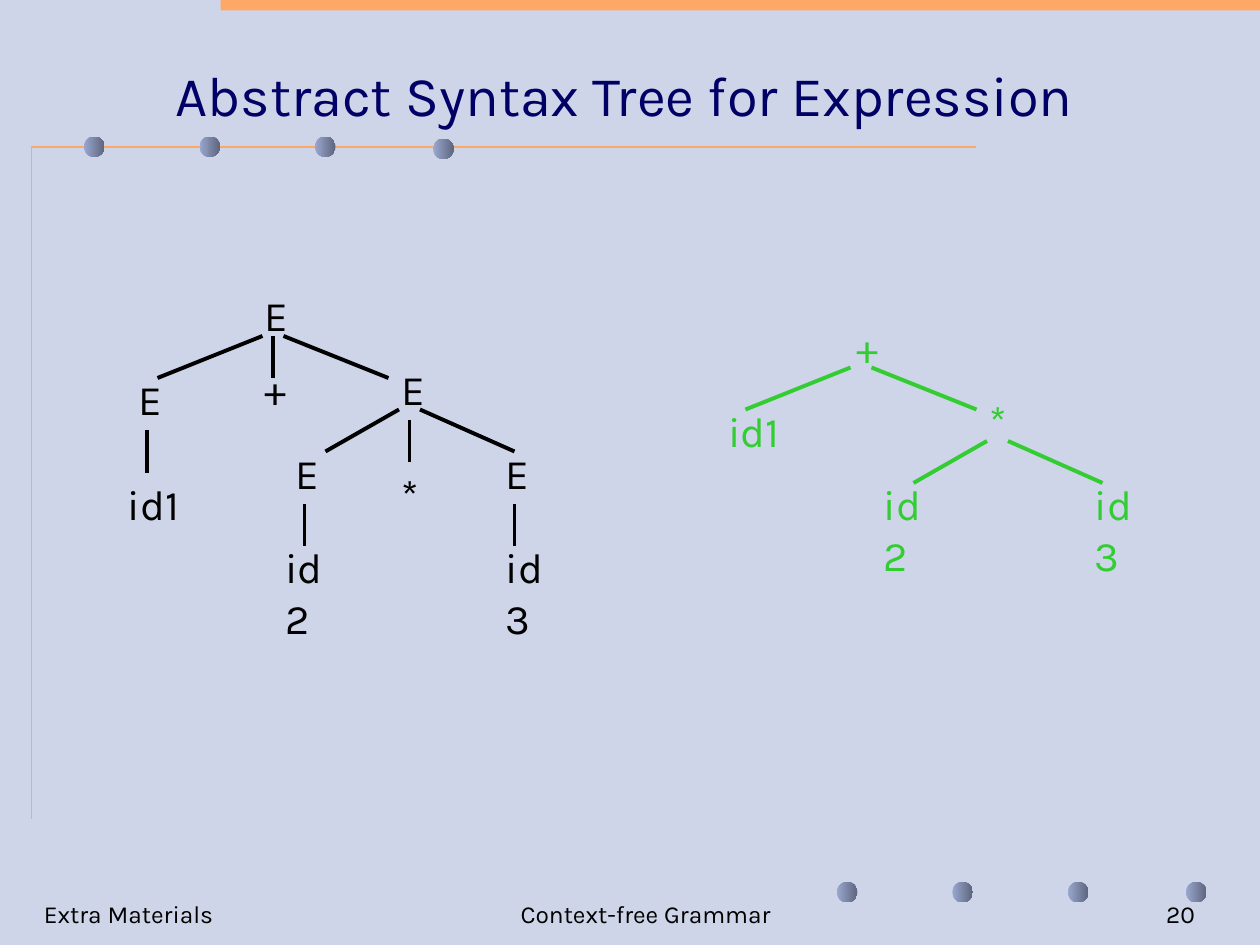
from dataclasses import dataclass

from lxml import etree
from pptx import Presentation
from pptx.dml.color import RGBColor
from pptx.enum.shapes import MSO_CONNECTOR, MSO_SHAPE
from pptx.enum.text import MSO_ANCHOR, MSO_AUTO_SIZE, PP_ALIGN
from pptx.oxml.ns import qn
from pptx.util import Inches, Pt

RECT, OVAL = MSO_SHAPE.RECTANGLE, MSO_SHAPE.OVAL
STRAIGHT = MSO_CONNECTOR.STRAIGHT
LEFT, CENTER, RIGHT = PP_ALIGN.LEFT, PP_ALIGN.CENTER, PP_ALIGN.RIGHT
TOP, MIDDLE, BOTTOM = MSO_ANCHOR.TOP, MSO_ANCHOR.MIDDLE, MSO_ANCHOR.BOTTOM
FIXED, GROW = MSO_AUTO_SIZE.NONE, MSO_AUTO_SIZE.SHAPE_TO_FIT_TEXT


@dataclass(frozen=True)
class Theme:
    font: str = "Karla"
    back: str = "CED5E8"
    accent: str = "FEA868"
    dot: tuple = ("9AA8D0", "5E667E")
    title: str = "000066"
    text: str = "000000"
    syntax: str = "33CC33"
    title_size: int = 32
    node_size: int = 24
    footer_size: int = 14
    rule_width: float = 0.75
    edge_width: float = 2.25


def rgb(value):
    return RGBColor.from_string(value)


def grid(*cells):
    """Turn columns and rows of a 120 by 90 grid into lengths."""
    return [Inches(cell / 12) for cell in cells]


class Deck:
    EDGE_ROWS = 4
    NODE_ROWS = 6

    def __init__(self, theme):
        self.theme = theme
        self.prs = Presentation()
        self.prs.slide_width, self.prs.slide_height = grid(120, 90)
        self.s = self.prs.slides.add_slide(self.prs.slide_layouts[5])
        fill = self.s.background.fill
        fill.solid()
        fill.fore_color.rgb = rgb(theme.back)

    def set_text(self, sp, text, size, color, align=LEFT, anchor=TOP, auto_size=FIXED):
        tf = sp.text_frame
        tf.text = text
        frame = {"word_wrap": True, "auto_size": auto_size, "vertical_anchor": anchor}
        for name, value in frame.items():
            setattr(tf, name, value)
        p = tf.paragraphs[0]
        p.alignment = align
        font = p.runs[0].font
        for name, value in {"name": self.theme.font, "size": Pt(size)}.items():
            setattr(font, name, value)
        font.color.rgb = rgb(color)

    def title(self, text, *box):
        sp = self.s.shapes.title
        sp.left, sp.top, sp.width, sp.height = grid(*box)
        self.set_text(sp, text, self.theme.title_size, self.theme.title, CENTER, MIDDLE)

    def footer(self, text, left, width, align):
        sp = self.s.shapes.add_textbox(*grid(left, 86, width, 3))
        self.set_text(sp, text, self.theme.footer_size, self.theme.text, align, BOTTOM)

    def shape(self, kind, *box):
        sp = self.s.shapes.add_shape(kind, *grid(*box))
        sp.shadow.inherit = False
        sp.line.fill.background()
        return sp

    def bar(self, *box):
        fill = self.shape(RECT, *box).fill
        fill.solid()
        fill.fore_color.rgb = rgb(self.theme.accent)

    def dot(self, left, top):
        fill = self.shape(OVAL, left, top, 1.95, 1.95).fill
        fill.gradient()
        fill.gradient_angle = 0
        for stop, color in zip(fill.gradient_stops, self.theme.dot):
            stop.color.rgb = rgb(color)

    def rule(self, start, *points):
        builder = self.s.shapes.build_freeform(*grid(*start))
        builder.add_line_segments([grid(*point) for point in points], close=False)
        sp = builder.convert_to_shape()
        sp.shadow.inherit = False
        sp.fill.background()
        sp.line.color.rgb = rgb(self.theme.accent)
        sp.line.width = Pt(self.theme.rule_width)

    def edge(self, group, x1, top, x2, color):
        line = group.shapes.add_connector(
            STRAIGHT, *grid(x1, top, x2, top + self.EDGE_ROWS))
        line.line.color.rgb = rgb(color)
        line.line.width = Pt(self.theme.edge_width)
        etree.SubElement(line._element.spPr, qn("a:effectLst"))

    def tree(self, nodes, edges, color):
        """Group nodes (text, left, top, width) and edges (from x, top, to x)."""
        group = self.s.shapes.add_group_shape()
        for text, left, top, width in nodes:
            sp = group.shapes.add_textbox(*grid(left, top, width, self.NODE_ROWS))
            self.set_text(sp, text, self.theme.node_size, color, auto_size=GROW)
        for x1, top, x2 in edges:
            self.edge(group, x1, top, x2, color)


PARSE_NODES = [
    ("+", 24, 34, 5.3), ("E", 24, 27, 5.8), ("E", 12, 35, 5.8),
    ("E", 47, 42, 5.8), ("E", 37.1, 34, 5.8), ("*", 37.1, 44, 4.3),
    ("E", 27, 42, 6), ("id3", 47, 51, 8), ("id2", 26, 51, 8), ("id1", 11, 45, 8),
]
PARSE_EDGES = [
    (25, 32, 15), (26, 32, 26), (27, 32, 37), (14, 41, 14),
    (38, 39, 31), (39, 40, 39), (40, 39, 49), (29, 48, 29), (49, 48, 49),
]
SYNTAX_NODES = [
    ("+", 80.4, 30, 4.7), ("id1", 68.2, 38, 7.4), ("id3", 103.1, 45, 7.4),
    ("*", 93.1, 37, 4.3), ("id2", 83, 45, 8),
]
SYNTAX_EDGES = [(81, 35, 71), (83, 35, 93), (96, 42, 105), (94, 42, 87)]
DOTS = [(8, 13), (19, 13), (30, 13), (41.25, 13.2)]
FOOTERS = [
    ("Extra Materials", 3, 29, LEFT),
    ("Context-free Grammar", 33, 57, CENTER),
    ("20", 91, 24, RIGHT),
]


def main():
    theme = Theme()
    deck = Deck(theme)
    deck.bar(21, 0, 99, 1)
    deck.rule((3, 78), (3, 14), (93, 14))
    for left, top in DOTS:
        deck.dot(left, top)
        deck.dot(left + 71.7, 84)
    for footer in FOOTERS:
        deck.footer(*footer)
    deck.title("Abstract Syntax Tree for Expression", 3, 4, 113, 10)
    deck.tree(PARSE_NODES, PARSE_EDGES, theme.text)
    deck.tree(SYNTAX_NODES, SYNTAX_EDGES, theme.syntax)
    deck.prs.save("out.pptx")


if __name__ == "__main__":
    main()
